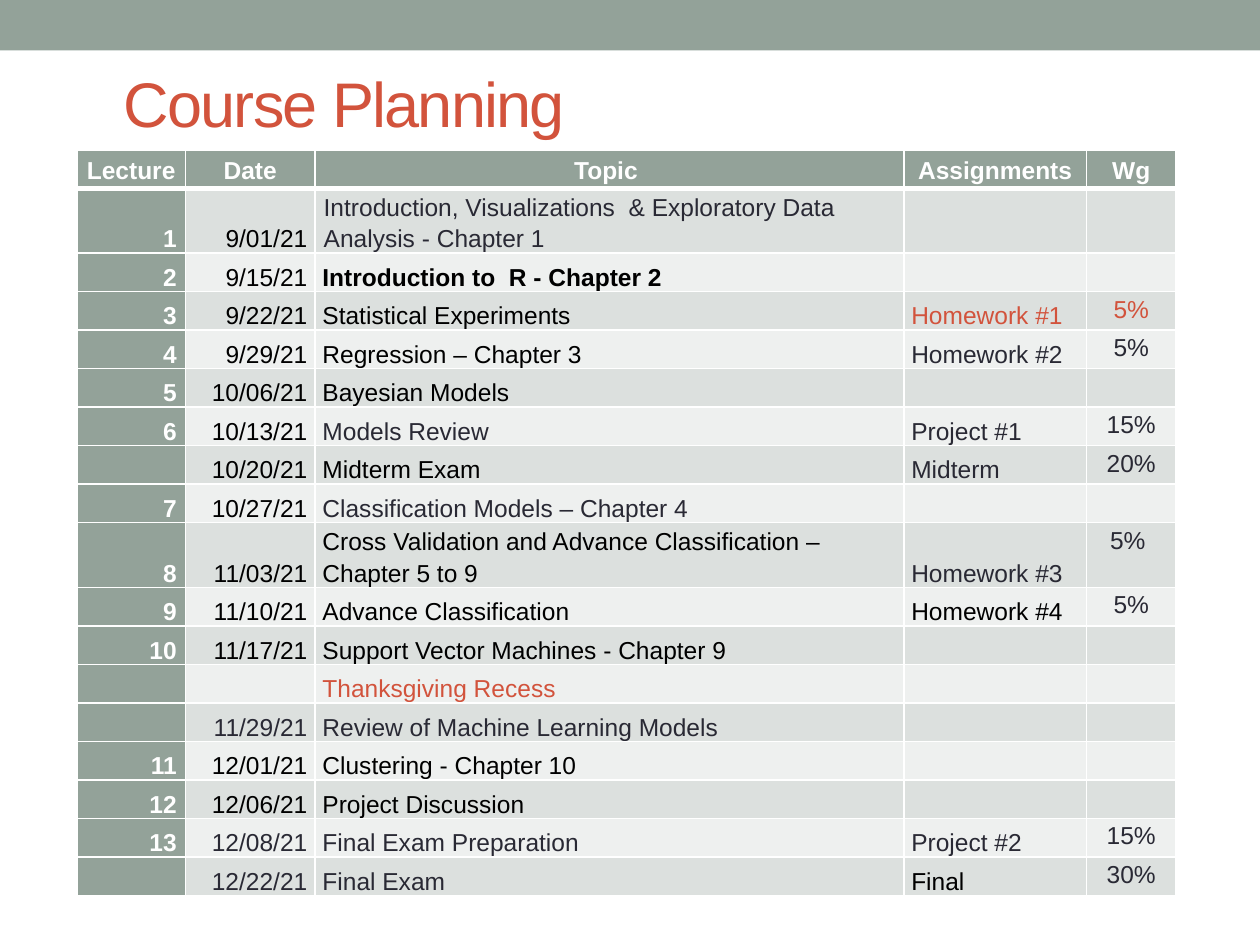
from dataclasses import dataclass

from lxml.etree import SubElement
from pptx import Presentation
from pptx.dml.color import RGBColor
from pptx.enum.shapes import MSO_SHAPE as Shape
from pptx.enum.text import MSO_ANCHOR as Anchor, PP_ALIGN as Align
from pptx.oxml.ns import qn
from pptx.util import Pt


@dataclass(frozen=True)
class Theme:
    font: str = "Arial"
    white: str = "FFFFFF"
    black: str = "000000"
    ink: str = "292934"
    accent: str = "D2533C"
    sage: str = "93A299"
    stripes: tuple = ("DCE0DE", "EEF0EF")
    title_size: int = 36
    table_size: int = 14
    line_spacing: float = 1.15


THEME = Theme()
COLUMN_WIDTHS = (62, 74, 336.5, 104.5, 51)
ROW_HEIGHT = 22
TALL_ROW_HEIGHT = 37
TALL_LECTURES = ("1", "8")

HEADINGS = ("Lecture", "Date", "Topic ", "Assignments", "Wg")
COURSE = (
    ("1", "9/01/21", "Introduction, Visualizations  & Exploratory Data Analysis - Chapter 1", "", ""),
    ("2", "9/15/21", "Introduction to  R - Chapter 2", "", ""),
    ("3", "9/22/21", "Statistical Experiments", "Homework #1", "5%"),
    ("4", "9/29/21", "Regression – Chapter 3", "Homework #2", "5%"),
    ("5", "10/06/21", "Bayesian Models", "", ""),
    ("6", "10/13/21", "Models Review", "Project #1", "15%"),
    ("", "10/20/21", "Midterm Exam", "Midterm", "20%"),
    ("7", "10/27/21", "Classification Models – Chapter 4", "", ""),
    ("8", "11/03/21", "Cross Validation and Advance Classification – Chapter 5 to 9", "Homework #3", "5% "),
    ("9", "11/10/21", "Advance Classification", "Homework #4 ", "5%"),
    ("10", "11/17/21", "Support Vector Machines - Chapter 9", "", ""),
    ("", "", "Thanksgiving Recess", "", ""),
    ("", "11/29/21", "Review of Machine Learning Models", "", ""),
    ("11", "12/01/21", "Clustering - Chapter 10", "", ""),
    ("12", "12/06/21", "Project Discussion", "", ""),
    ("13", "12/08/21", "Final Exam Preparation", "Project #2", "15%"),
    ("", "12/22/21", "Final Exam", "Final", "30%"),
)
INK_DATES = ("11/29/21", "12/08/21", "12/22/21")
INK_TOPICS = (1, 6, 8, 13, 16, 17)
BLACK_ASSIGNMENTS = (10, 17)
BOLD_TOPIC = 2
ACCENT_CELLS = ((3, 3), (3, 4), (12, 2))


def color(value):
    return RGBColor.from_string(value)


def write(frame, text, *, size, ink, bold=False, align=Align.LEFT, spacing=None):
    para = frame.paragraphs[0]
    para.alignment = align
    para.line_spacing = spacing
    span = para.add_run()
    span.text = text
    span.font.name = THEME.font
    span.font.size = Pt(size)
    span.font.bold = bold
    span.font.color.rgb = color(ink)
    return span


def add_band(page):
    band = page.shapes.add_shape(Shape.RECTANGLE, 0, 0, Pt(720), Pt(28.8))
    band.shadow.inherit = False
    band.fill.solid()
    band.fill.fore_color.rgb = color(THEME.sage)
    band.line.fill.background()


def add_title(page, text):
    title = page.shapes.title
    title.left, title.top, title.width, title.height = Pt(63.5), Pt(31), Pt(594), Pt(55)
    title.text_frame.vertical_anchor = Anchor.MIDDLE
    span = write(title.text_frame, text, size=THEME.title_size, ink=THEME.accent)
    span.font._element.set("spc", "-100")


def set_borders(cell, bottom):
    properties = cell._tc.get_or_add_tcPr()
    for side, width in (("L", 1), ("R", 1), ("T", 1), ("B", bottom)):
        line = SubElement(properties, qn(f"a:ln{side}"), w=str(Pt(width)))
        SubElement(SubElement(line, qn("a:solidFill")), qn("a:srgbClr"), val=THEME.white)


def cell_ink(row, column, text):
    if row == 0 or column == 0:
        return THEME.white
    if (row, column) in ACCENT_CELLS:
        return THEME.accent
    dark = (
        text in INK_DATES,
        row in INK_TOPICS,
        row not in BLACK_ASSIGNMENTS,
        True,
    )[column - 1]
    return THEME.ink if dark else THEME.black


def fill_cell(cell, row, column, text):
    header = row == 0
    side_column = column == 0
    wide_inset = header or column in (0, 4) or (row, column) == (1, 2)
    cell.margin_left = cell.margin_right = Pt(5 if wide_inset else 4.3)
    cell.margin_top = cell.margin_bottom = 0
    if header:
        cell.vertical_anchor = Anchor.MIDDLE
    else:
        cell.vertical_anchor = Anchor.TOP if column == 4 else Anchor.BOTTOM
    set_borders(cell, bottom=3 if header or row == -1 else 1)
    cell.fill.solid()
    shade = THEME.sage if header or side_column else THEME.stripes[(row - 1) % 2]
    cell.fill.fore_color.rgb = color(shade)
    if text:
        aligns = (Align.RIGHT, Align.RIGHT, Align.LEFT, Align.LEFT, Align.CENTER)
        write(
            cell.text_frame,
            text,
            size=THEME.table_size,
            ink=cell_ink(row, column, text),
            bold=header or side_column or (row, column) == (BOLD_TOPIC, 2),
            align=Align.CENTER if header else aligns[column],
            spacing=THEME.line_spacing,
        )


def add_schedule(page):
    rows = (HEADINGS, *COURSE)
    heights = [TALL_ROW_HEIGHT if row[0] in TALL_LECTURES else ROW_HEIGHT for row in rows]
    frame = page.shapes.add_table(
        len(rows), len(HEADINGS), Pt(44), Pt(85.7), Pt(sum(COLUMN_WIDTHS)), Pt(sum(heights))
    )
    table = frame.table
    for column, width in zip(table.columns, COLUMN_WIDTHS):
        column.width = Pt(width)
    for row, height in zip(table.rows, heights):
        row.height = Pt(height)
    for row, texts in enumerate(rows):
        for column, text in enumerate(texts):
            fill_cell(table.cell(row, column), row, column, text)


def main():
    deck = Presentation()
    deck.slide_width, deck.slide_height = Pt(720), Pt(540)
    page = deck.slides.add_slide(deck.slide_layouts[5])
    add_band(page)
    add_title(page, "Course Planning")
    add_schedule(page)
    deck.save("out.pptx")


if __name__ == "__main__":
    main()
